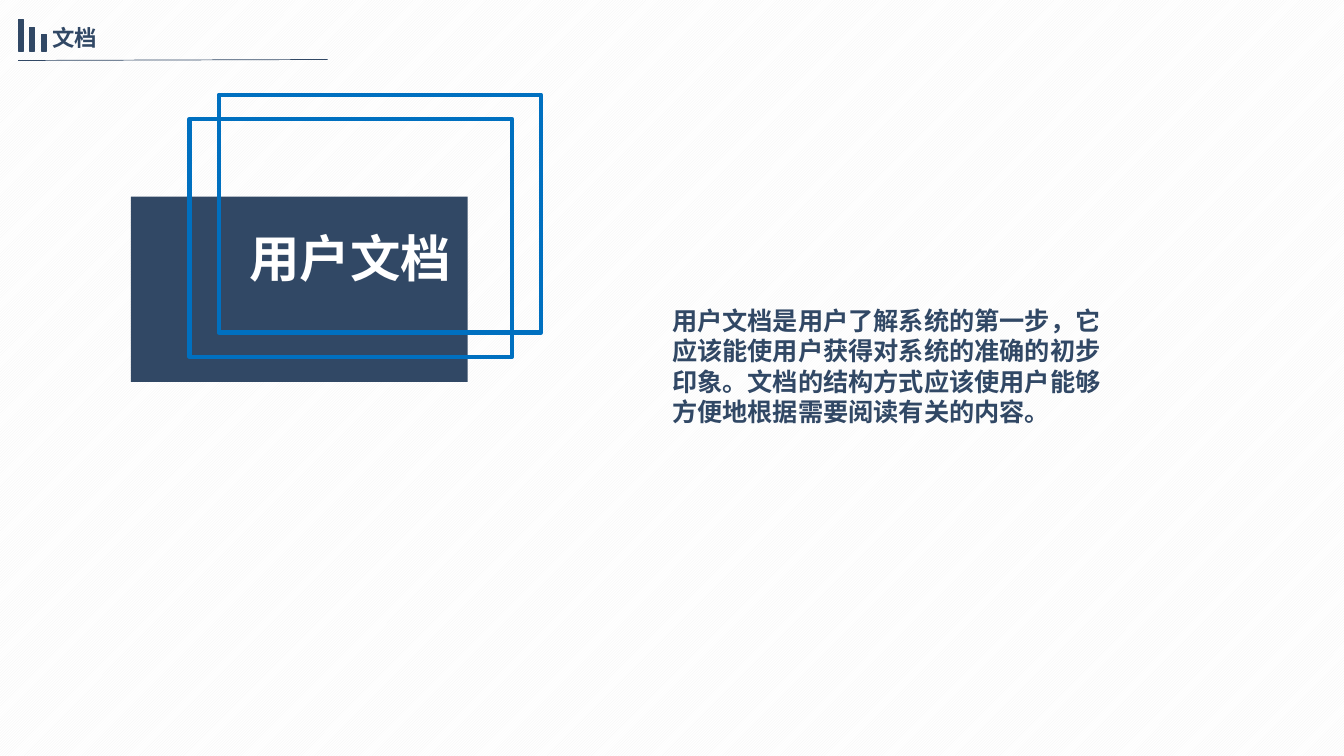
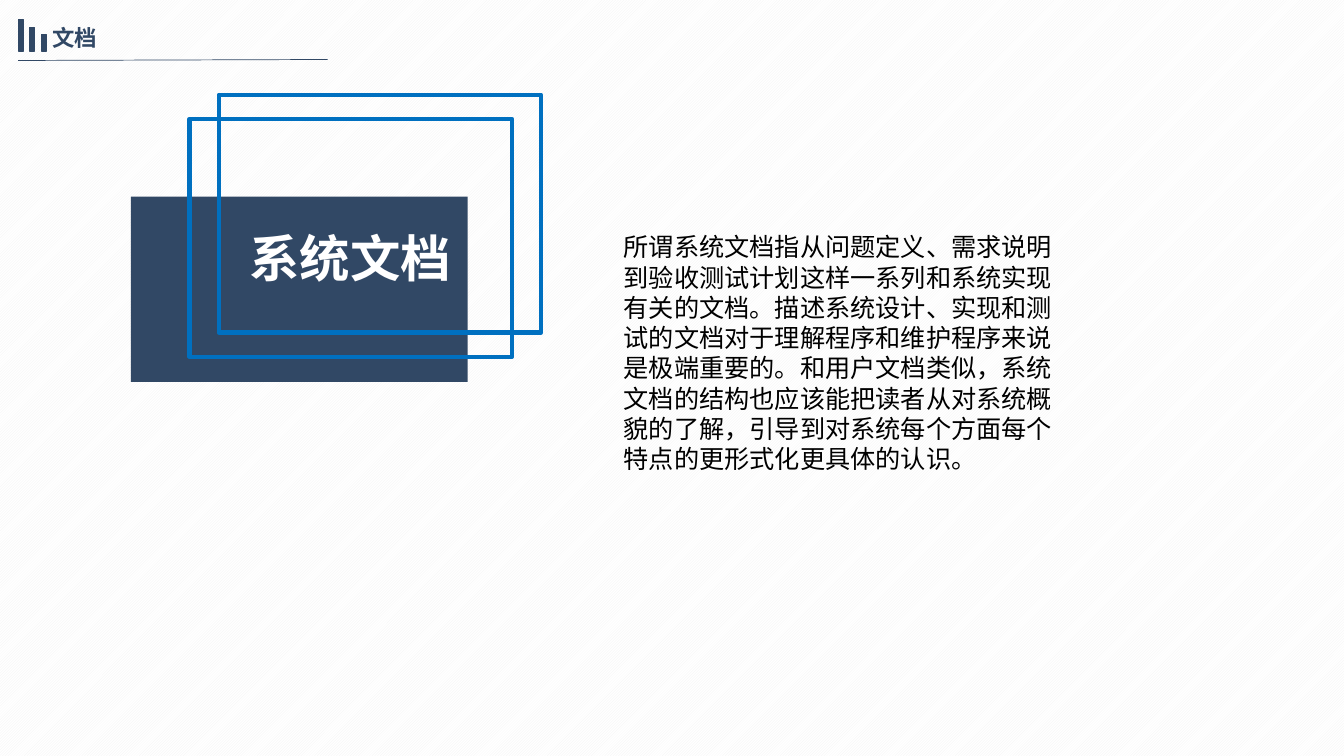
from lxml import etree
from pptx import Presentation
from pptx.dml.color import RGBColor
from pptx.enum.dml import MSO_PATTERN
from pptx.enum.lang import MSO_LANGUAGE_ID
from pptx.enum.shapes import MSO_CONNECTOR, MSO_SHAPE
from pptx.enum.text import MSO_AUTO_SIZE, PP_ALIGN
from pptx.oxml.ns import qn
from pptx.util import Pt

NAVY = RGBColor(0x31, 0x48, 0x65)
BLUE = RGBColor(0x00, 0x70, 0xC0)
STRIPE = RGBColor(0xF2, 0xF2, 0xF2)
WHITE = RGBColor(0xFF, 0xFF, 0xFF)
BLACK = RGBColor(0x00, 0x00, 0x00)

RECTANGLE = MSO_SHAPE.RECTANGLE
STRAIGHT = MSO_CONNECTOR.STRAIGHT
DIAGONAL = MSO_PATTERN.DARK_UPWARD_DIAGONAL
FIT_SHAPE = MSO_AUTO_SIZE.SHAPE_TO_FIT_TEXT
CHINESE = MSO_LANGUAGE_ID.SIMPLIFIED_CHINESE
LEFT, CENTER, JUSTIFY = PP_ALIGN.LEFT, PP_ALIGN.CENTER, PP_ALIGN.JUSTIFY

SECTION = "文档"
BAR_HEIGHTS = (22.3, 16.6, 11.5)
BAR_LEFT, BAR_STEP, BAR_WIDTH, BAR_BASE = 13, 8.3, 3.6, 36.4
FRAME_SIZE = (230.4, 169.9)

USER_TEXT = (
    "用户文档是用户了解系统的第一步，它应该能使用户获得对系统的准确的初步印象。"
    "文档的结构方式应该使用户能够方便地根据需要阅读有关的内容。"
)
SYSTEM_TEXT = (
    "所谓系统文档指从问题定义、需求说明到验收测试计划这样一系列和系统实现有关的文档。"
    "描述系统设计、实现和测试的文档对于理解程序和维护程序来说是极端重要的。"
    "和用户文档类似，系统文档的结构也应该能把读者从对系统概貌的了解，"
    "引导到对系统每个方面每个特点的更形式化更具体的认识。"
)


def add_rectangle(shapes, left, top, width, height, fill=None, line=None, weight=1):
    """Add a rectangle with an optional fill and outline."""
    box = shapes.add_shape(RECTANGLE, Pt(left), Pt(top), Pt(width), Pt(height))
    box.shadow.inherit = False
    if fill is None:
        box.fill.background()
    else:
        box.fill.solid()
        box.fill.fore_color.rgb = fill
    if line is None:
        box.line.fill.background()
    else:
        box.line.color.rgb = line
        box.line.width = Pt(weight)


def add_text(shapes, text, left, top, width, height, *, size, color,
             font="Arial", bold=True, align=LEFT):
    """Add a wrapping text box holding one paragraph."""
    box = shapes.add_textbox(Pt(left), Pt(top), Pt(width), Pt(height))
    box.text_frame.word_wrap = True
    box.text_frame.auto_size = FIT_SHAPE
    para = box.text_frame.paragraphs[0]
    para.alignment = align
    span = para.add_run()
    span.text = text
    span.font.name = font
    span.font.size = Pt(size)
    span.font.bold = bold
    span.font.color.rgb = color
    span.font.language_id = CHINESE


def add_rule(shapes, start, end):
    """Add a thin straight line without a shadow."""
    rule = shapes.add_connector(STRAIGHT, *map(Pt, start + end))
    rule.line.color.rgb = NAVY
    rule.line.width = Pt(0.5)
    etree.SubElement(rule.element.spPr, qn("a:effectLst"))


def add_header(page):
    """Add the grouped section label with its bars and rule."""
    shapes = page.shapes.add_group_shape().shapes
    add_rule(shapes, (13, 43.2), (234, 42.5))
    add_text(shapes, SECTION, 30.2, 13.7, 214.6, 26.6,
             size=16, color=NAVY, align=JUSTIFY)
    for index, height in enumerate(BAR_HEIGHTS):
        add_rectangle(shapes, BAR_LEFT + index * BAR_STEP, BAR_BASE - height,
                      BAR_WIDTH, height, fill=NAVY, line=NAVY)


def add_page(deck, title, text, left, top, height, **style):
    """Add a slide with a framed title and a body paragraph."""
    page = deck.slides.add_slide(deck.slide_layouts[6])
    fill = page.background.fill
    fill.patterned()
    fill.pattern = DIAGONAL
    fill.fore_color.rgb = STRIPE
    fill.back_color.rgb = WHITE

    shapes = page.shapes
    add_rectangle(shapes, 93.6, 140.4, 240.5, 132.5, fill=NAVY)
    add_rectangle(shapes, 135.4, 85, *FRAME_SIZE, line=BLUE, weight=3)
    add_text(shapes, title, 159.1, 158.4, 182.2, 51.1,
             size=36, color=WHITE, align=CENTER)
    add_header(page)
    add_rectangle(shapes, 156.2, 67.7, *FRAME_SIZE, line=BLUE, weight=3)
    add_text(shapes, text, left, top, 321.1, height, size=18, font="Lato", **style)


def main():
    """Build and save the deck."""
    deck = Presentation()
    deck.slide_width, deck.slide_height = Pt(960), Pt(540)
    add_page(deck, "用户文档", USER_TEXT, 473, 214.6, 94.3, color=NAVY)
    add_page(deck, "系统文档", SYSTEM_TEXT, 438.5, 162, 181.4, color=BLACK, bold=False)
    deck.save("out.pptx")


if __name__ == "__main__":
    main()
